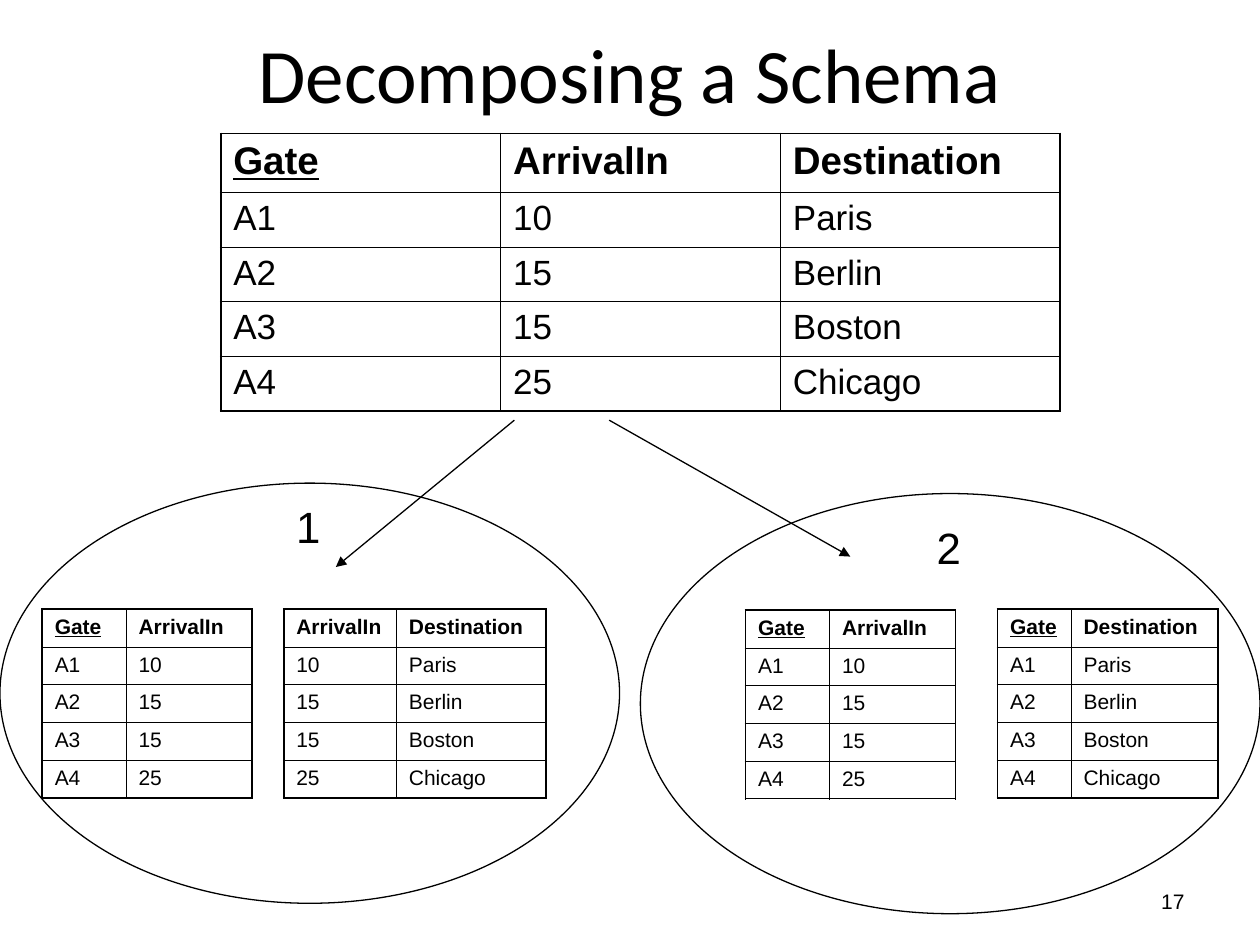
import pptx
import pptx.dml.color
import pptx.enum.shapes
import pptx.enum.text
import pptx.oxml.ns
import pptx.util
from lxml import etree

Cm, Pt = pptx.util.Cm, pptx.util.Pt
ALIGN = pptx.enum.text.PP_ALIGN
ANCHOR = pptx.enum.text.MSO_ANCHOR
BLACK = pptx.dml.color.RGBColor(0x00, 0x00, 0x00)
OUTER, INNER, LINE = 1.08, 0.45, 0.75  # line widths in points

# Content: the full relation; every table shows some of its columns
FLIGHTS = {
    "Gate": ["A1", "A2", "A3", "A4"],
    "ArrivalIn": ["10", "15", "15", "25"],
    "Destination": ["Paris", "Berlin", "Boston", "Chicago"],
}
KEY = "Gate"

# Tables: left, top, {column: width}, (header, body) row heights, (header, body) sizes
SMALL = ((0.76, 0.76), (12, 12))
TABLES = [
    (4.45, 2.69, {name: 5.64 for name in FLIGHTS}, (1.19, 1.1), (22, 20)),
    (0.85, 12.28, {"Gate": 1.69, "ArrivalIn": 2.54}, *SMALL),
    (5.72, 12.28, {"ArrivalIn": 2.27, "Destination": 3.02}, *SMALL),
    (15.03, 12.3, {"Gate": 1.69, "ArrivalIn": 2.54}, *SMALL),
    (20.11, 12.28, {"Gate": 1.48, "Destination": 2.96}, *SMALL),
]

# Lengths in cm
ARROWS = [(10.37, 8.47, 6.77, 11.43), (12.28, 8.47, 17.14, 11.22)]
ELLIPSES = [(0, 9.74), (12.91, 9.95)]
ELLIPSE_SIZE = (12.49, 8.47)

# Text boxes: text, (left, top, width, height), font, alignment, anchor
TEXTS = [
    ("Decomposing a Schema", (1.27, 0.2, 22.86, 2.54),
     {"name": "Calibri", "size": Pt(44)}, ALIGN.CENTER, ANCHOR.MIDDLE),
    ("1", (5.72, 9.95, 1.69, 1.32),
     {"name": "Arial", "size": Pt(25)}, ALIGN.LEFT, ANCHOR.TOP),
    ("2", (18.63, 10.37, 1.69, 1.32),
     {"name": "Arial", "size": Pt(25)}, ALIGN.LEFT, ANCHOR.TOP),
    ("17", (18.2, 17.65, 5.93, 1.02),
     {"name": "Arial", "size": Pt(12)}, ALIGN.RIGHT, ANCHOR.MIDDLE),
]


def add_run(p, text, font):
    r = p.add_run()
    r.text = text
    for name, value in font.items():
        setattr(r.font, name, value)
    r.font.color.rgb = BLACK


def add_xml(parent, tag, **attrs):
    return etree.SubElement(parent, pptx.oxml.ns.qn(tag), attrs)


def set_borders(cell, widths):
    tc_pr = cell._tc.get_or_add_tcPr()
    for side, width in zip("LRTB", widths):
        ln = add_xml(tc_pr, f"a:ln{side}", w=str(int(Pt(width))))
        add_xml(add_xml(ln, "a:solidFill"), "a:srgbClr", val=str(BLACK))


def add_table(s, left, top, columns, heights, sizes):
    last_row, last_col = len(FLIGHTS[KEY]), len(columns) - 1
    height = heights[0] + last_row * heights[1]
    frame = s.shapes.add_table(last_row + 1, last_col + 1, Cm(left), Cm(top),
                               Cm(sum(columns.values())), Cm(height))
    table = frame.table
    table.first_row = table.horz_banding = False
    for i, row in enumerate(table.rows):
        row.height = Cm(heights[min(i, 1)])
    for j, (name, width) in enumerate(columns.items()):
        table.columns[j].width = Cm(width)
        for i, text in enumerate([name] + FLIGHTS[name]):
            cell = table.cell(i, j)
            edges = (j == 0, j == last_col, i == 0, i == last_row)
            set_borders(cell, [OUTER if edge else INNER for edge in edges])
            cell.fill.background()
            add_run(cell.text_frame.paragraphs[0], text, {
                "name": "Arial", "size": Pt(sizes[min(i, 1)]),
                "bold": i == 0, "underline": i == 0 and name == KEY})


def add_arrow(s, ends):
    sp = s.shapes.add_connector(pptx.enum.shapes.MSO_CONNECTOR.STRAIGHT,
                                *(Cm(v) for v in ends))
    sp.line.color.rgb = BLACK
    sp.line.width = Pt(LINE)
    add_xml(sp.line._get_or_add_ln(), "a:tailEnd", type="triangle")
    add_xml(sp._element.spPr, "a:effectLst")


def add_ellipse(s, corner):
    sp = s.shapes.add_shape(pptx.enum.shapes.MSO_SHAPE.OVAL,
                            *(Cm(v) for v in corner + ELLIPSE_SIZE))
    sp.shadow.inherit = False
    sp.fill.background()
    sp.line.color.rgb = BLACK
    sp.line.width = Pt(LINE)


def add_text(s, text, box, font, align, anchor):
    tf = s.shapes.add_textbox(*(Cm(v) for v in box)).text_frame
    tf.word_wrap = True
    tf.vertical_anchor = anchor
    p = tf.paragraphs[0]
    p.alignment = align
    add_run(p, text, font)


def main():
    prs = pptx.Presentation()
    prs.slide_width, prs.slide_height = Cm(25.4), Cm(19.05)
    s = prs.slides.add_slide(prs.slide_layouts[6])
    # Full table, arrows, then the two decompositions
    add_table(s, *TABLES[0])
    for ends in ARROWS:
        add_arrow(s, ends)
    for table in TABLES[1:]:
        add_table(s, *table)
    for corner in ELLIPSES:
        add_ellipse(s, corner)
    # Title, labels and page number
    for text in TEXTS:
        add_text(s, *text)
    prs.save("out.pptx")


if __name__ == "__main__":
    main()
